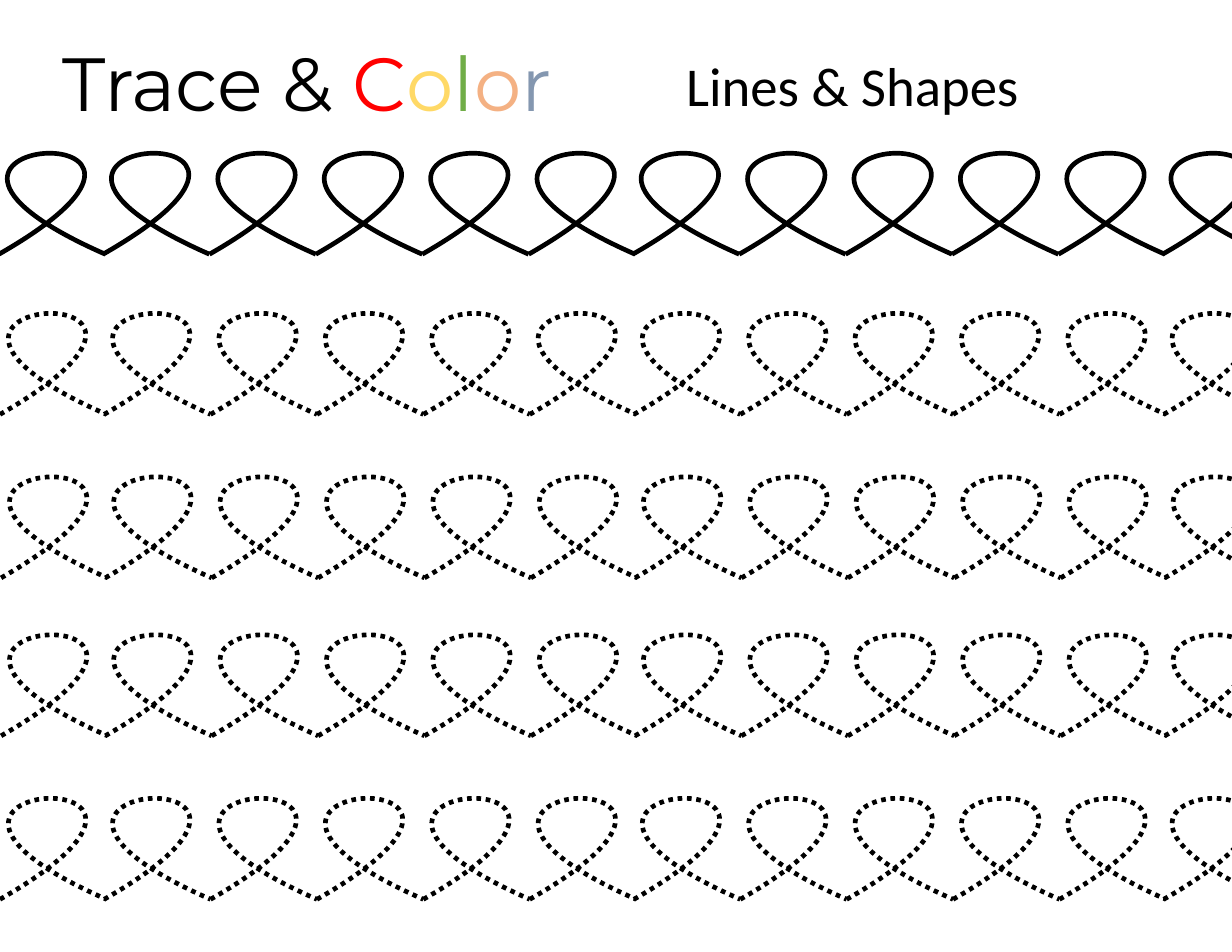
"""Build a tracing worksheet with five rows of looping lines."""
from lxml import etree
from pptx import Presentation
from pptx.dml.color import RGBColor
from pptx.enum.dml import MSO_LINE
from pptx.enum.text import MSO_AUTO_SIZE, PP_ALIGN
from pptx.oxml.ns import qn
from pptx.util import Inches, Pt

DOTTED = MSO_LINE.ROUND_DOT
LEFT, CENTER = PP_ALIGN.LEFT, PP_ALIGN.CENTER
GROW = MSO_AUTO_SIZE.SHAPE_TO_FIT_TEXT

THEME = {
    "ink": "000000", "red": "FF0000", "yellow": "FFD966",
    "green": "70AD47", "orange": "F4B183", "blue": "8497B0",
    "title_font": "Montserrat", "title_size": 48.4,
    "topic_font": "Calibri", "topic_size": 35.2,
    "line_width": 3,
}

TITLE = [("Trace & ", "ink"), ("C", "red"), ("o", "yellow"),
         ("l", "green"), ("o", "orange"), ("r", "blue")]
TOPIC = [("Lines & Shapes", "ink")]
HEADINGS = [
    (TITLE, "title", (0.46, 0.27, 5.51, 0.92), LEFT),
    (TOPIC, "topic", (5.05, 0.41, 5.12, 0.69), CENTER),
]

ROWS = [(-0.01, 1.37, None), (0, 2.8, DOTTED), (0.01, 4.26, DOTTED),
        (0.01, 5.67, DOTTED), (0, 7.13, DOTTED)]
LOOPS_PER_ROW = 12
LOOP_WIDTH, LOOP_HEIGHT = 0.95, 0.9
SET_SIZE, SET_OVERLAP = 5, 0.02
LOOP_START = (0, LOOP_HEIGHT)
LOOP_CURVE = [(2.29, -0.41), (-1.53, -0.19), (LOOP_WIDTH, LOOP_HEIGHT)]


def add_heading(slide, parts, role, box, align):
    heading = slide.shapes.add_textbox(*map(Inches, box))
    frame = heading.text_frame
    frame.word_wrap = True
    frame.auto_size = GROW
    paragraph = frame.paragraphs[0]
    paragraph.alignment = align
    for text, color in parts:
        run = paragraph.add_run()
        run.text = text
        run.font.name = THEME[role + "_font"]
        run.font.size = Pt(THEME[role + "_size"])
        run.font.color.rgb = RGBColor.from_string(THEME[color])


def add_points(parent, points):
    for x, y in points:
        etree.SubElement(parent, qn("a:pt"), x=str(Inches(x)), y=str(Inches(y)))


def add_loop(row, left, top, dash):
    right, bottom = left + LOOP_WIDTH, top + LOOP_HEIGHT
    builder = row.shapes.build_freeform(Inches(left), Inches(bottom))
    corners = [(left, top), (right, bottom)]
    builder.add_line_segments([(Inches(x), Inches(y)) for x, y in corners], close=False)
    loop = builder.convert_to_shape()
    outline = next(loop.element.iter(qn("a:path")))
    for segment in list(outline):
        outline.remove(segment)
    add_points(etree.SubElement(outline, qn("a:moveTo")), [LOOP_START])
    add_points(etree.SubElement(outline, qn("a:cubicBezTo")), LOOP_CURVE)
    loop.shadow.inherit = False
    loop.fill.background()
    loop.line.color.rgb = RGBColor.from_string(THEME["ink"])
    loop.line.width = Pt(THEME["line_width"])
    if dash:
        loop.line.dash_style = dash


def add_row(slide, left, top, dash):
    row = slide.shapes.add_group_shape()
    for index in reversed(range(LOOPS_PER_ROW)):
        sets_begun = (index + SET_SIZE - 1) // SET_SIZE
        offset = index * LOOP_WIDTH - sets_begun * SET_OVERLAP
        add_loop(row, left + offset, top, dash)


def main():
    deck = Presentation()
    deck.slide_width, deck.slide_height = Inches(11), Inches(8.5)
    slide = deck.slides.add_slide(deck.slide_layouts[6])
    for row in ROWS:
        add_row(slide, *row)
    for heading in HEADINGS:
        add_heading(slide, *heading)
    deck.save("out.pptx")


if __name__ == "__main__":
    main()
